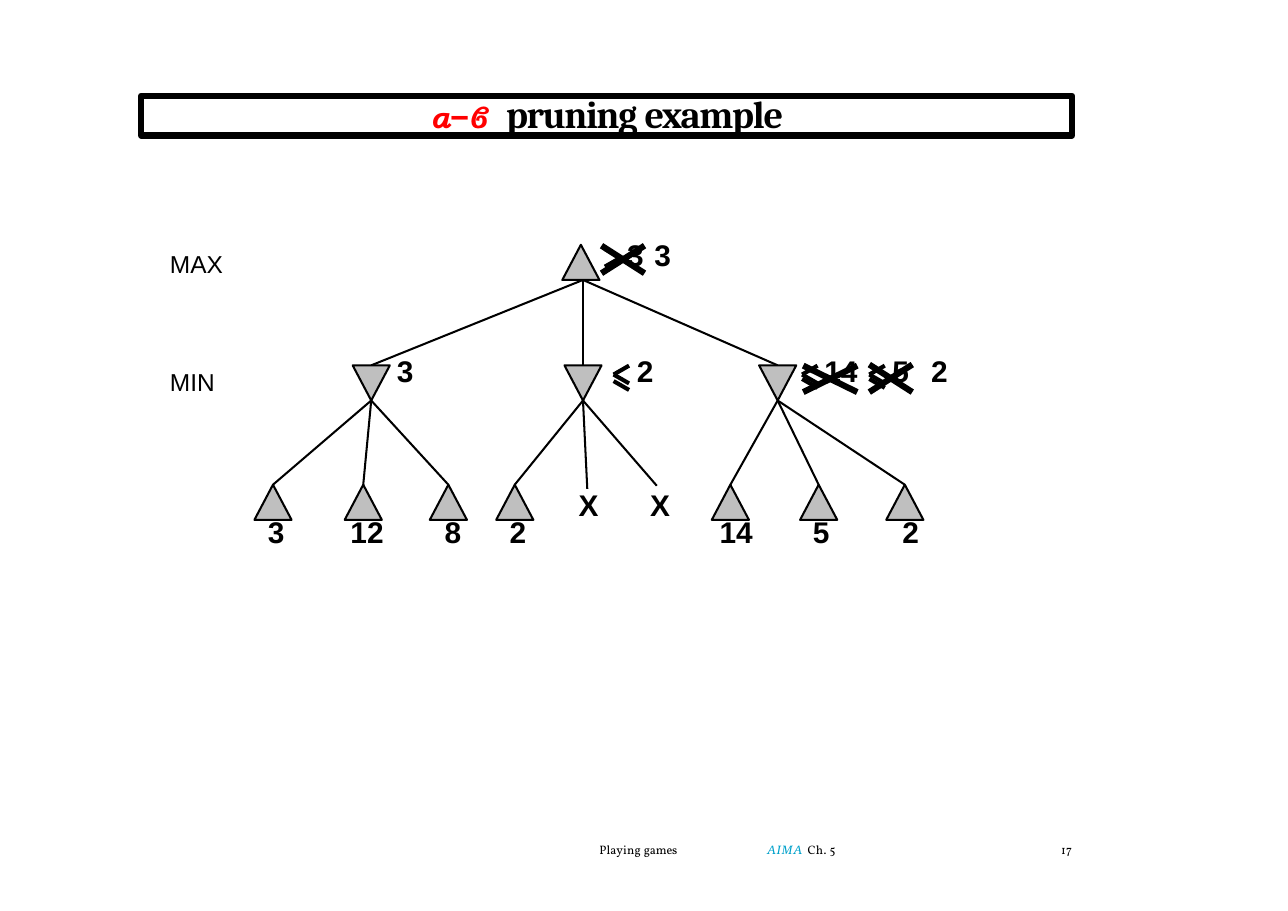
"""Build a slide with a game tree that shows alpha-beta pruning."""
from lxml.etree import SubElement
from pptx import Presentation
from pptx.dml.color import RGBColor
from pptx.enum.shapes import MSO_CONNECTOR, MSO_SHAPE
from pptx.enum.text import MSO_ANCHOR, PP_ALIGN
from pptx.oxml.ns import qn
from pptx.util import Pt

deck = Presentation()
deck.slide_width, deck.slide_height = Pt(841.68), Pt(595.44)
slide = deck.slides.add_slide(deck.slide_layouts[6])
shapes = slide.shapes
hex_color = RGBColor.from_string


def write(shape, runs, top_inset=0, **paragraph_format):
    """Fill a shape with runs of (text, spacing, color, font values)."""
    frame = shape.text_frame
    frame_format = {"word_wrap": True, "vertical_anchor": MSO_ANCHOR.TOP,
                    "margin_left": 0, "margin_right": 0,
                    "margin_top": Pt(top_inset), "margin_bottom": 0}
    for name, value in frame_format.items():
        setattr(frame, name, value)
    paragraph = frame.paragraphs[0]
    for name, value in paragraph_format.items():
        setattr(paragraph, name, value)
    for text, spacing, color, font_format in runs:
        run = paragraph.add_run()
        run.text = text
        for name, value in font_format.items():
            setattr(run.font, name, value)
        run.font.color.rgb = hex_color(color)
        run._r.get_or_add_rPr().set("spc", str(spacing))
    return paragraph


def stroke(x1, y1, x2, y2, width):
    """Draw a straight black line."""
    line = shapes.add_connector(MSO_CONNECTOR.STRAIGHT, Pt(x1), Pt(y1), Pt(x2), Pt(y2))
    line.line.color.rgb = hex_color("000000")
    line.line.width = Pt(width)
    SubElement(line._element.spPr, qn("a:effectLst"))


title = shapes.add_shape(MSO_SHAPE.RECTANGLE, Pt(92.2), Pt(62.6), Pt(608.4), Pt(26))
title.shadow.inherit = False
title.fill.background()
title.line.color.rgb = hex_color("000000")
title.line.width = Pt(3.98)
SubElement(title.line._get_or_add_ln(), qn("a:round"))
greek = {"name": "TeX Gyre Bonum", "size": Pt(20.5), "bold": True, "italic": True}
heading = {"name": "Cambria", "size": Pt(25), "bold": True, "italic": False}
title_line = write(title, [
    ("α", -150, "FF0000", greek),
    ("–", -150, "FF0000", heading),
    ("β\t", -150, "FF0000", greek),
    ("pruning ", -90, "000000", heading),
    ("example", -80, "000000", heading),
], alignment=PP_ALIGN.CENTER, line_spacing=Pt(26.3))
tab_list = SubElement(title_line._p.get_or_add_pPr(), qn("a:tabLst"))
SubElement(tab_list, qn("a:tab"), pos=str(Pt(49.7)), algn="l")

MAX_TOP, MIN_TOP, LEAF_TOP = 160, 238.8, 316.8
NODE_WIDTH, NODE_HEIGHT = 24.3, 23
ROOT_X = 379.6
EDGE_X = 381
EDGE = 1.34
min_nodes = {
    242.6: [(178.4, LEAF_TOP), (237.4, LEAF_TOP), (293, LEAF_TOP)],
    381: [(336.4, LEAF_TOP), (383.8, 319.6), (429.2, 317.5)],
    508.2: [(477.3, LEAF_TOP), (535, LEAF_TOP), (591.3, LEAF_TOP)],
}
pruned_x = (383.8, 429.2)

nodes = [(ROOT_X, MAX_TOP, MSO_SHAPE.ISOSCELES_TRIANGLE)]
for min_x, leaves in min_nodes.items():
    stroke(EDGE_X, MAX_TOP + NODE_HEIGHT, min_x, MIN_TOP, EDGE)
    nodes.append((min_x, MIN_TOP, MSO_SHAPE.FLOWCHART_MERGE))
    for leaf_x, leaf_y in leaves:
        stroke(min_x, MIN_TOP + NODE_HEIGHT, leaf_x, leaf_y, EDGE)
        if leaf_x not in pruned_x:
            nodes.append((leaf_x, LEAF_TOP, MSO_SHAPE.ISOSCELES_TRIANGLE))

for center_x, top, triangle in nodes:
    node = shapes.add_shape(triangle, Pt(center_x - NODE_WIDTH / 2), Pt(top),
                            Pt(NODE_WIDTH), Pt(NODE_HEIGHT))
    node.shadow.inherit = False
    node.fill.solid()
    node.fill.fore_color.rgb = hex_color("BFBFBF")
    node.line.color.rgb = hex_color("000000")
    node.line.width = Pt(EDGE)

value_rows = {
    154.1: [("3", 409.9), ("3", 427.7)],
    229.7: [("3", 259.3), ("2", 416.2), ("14", 538.7), ("5", 583.2), ("2", 608.4)],
    317.5: [("X", 378.1), ("X", 424.8)],
    334.8: [("3", 175), ("12", 229), ("8", 290.6), ("2", 333),
            ("14", 470.2), ("5", 531.2), ("2", 589.7)],
}
value_font = {"name": "Arial", "size": Pt(19.5), "bold": True}
for top, values in value_rows.items():
    for text, left in values:
        value = shapes.add_textbox(Pt(left), Pt(top), Pt(26), Pt(25.2))
        write(value, [(text, 0, "000000", value_font)], 0.9, space_before=Pt(1))

player_font = {"name": "Arial", "size": Pt(16)}
for text, top in (("MAX", 161.3), ("MIN", 239)):
    player = shapes.add_textbox(Pt(111), Pt(top), Pt(40), Pt(21.6))
    write(player, [(text, 10, "000000", player_font)], 1.2, space_before=Pt(1.1))

bound_signs = [(395.3 + 10.1, 168.5, -10.1, 2.9), (401, 244.8, 10.1, 4.3),
               (524.2, 244.8, 10.1, 2.9), (568.1, 244.8, 10.1, 2.9)]
for tip_x, tip_y, reach, drop in bound_signs:
    for start, rise in ((0, -5.8), (0, 5.8), (drop, 5.8)):
        stroke(tip_x, tip_y + start, tip_x + reach, tip_y + start + rise, 2.68)

crosses = [(393.1, 160.6, 28.1, 18), (524.9, 239, 35.3, 17.3), (568.1, 238.3, 28.1, 18)]
for left, top, width, height in crosses:
    stroke(left, top, left + width, top + height, 4.02)
    stroke(left, top + height, left + width, top, 4.02)

footer_font = {"name": "Vollkorn", "size": Pt(8)}
book_font = {"name": "TeX Gyre Bonum", "size": Pt(8), "italic": True}
footers = [
    (391.7, [("Playing ", 10, "000000", footer_font), ("games", -10, "000000", footer_font)]),
    (501.1, [("AIMA ", 70, "00A1CB", book_font), ("Ch. 5", 20, "000000", footer_font)]),
    (693.4, [("17", 20, "000000", footer_font)]),
]
for left, runs in footers:
    footer = shapes.add_textbox(Pt(left), Pt(551.5), Pt(60), Pt(10))
    write(footer, runs, line_spacing=Pt(8.6))

deck.save("out.pptx")
